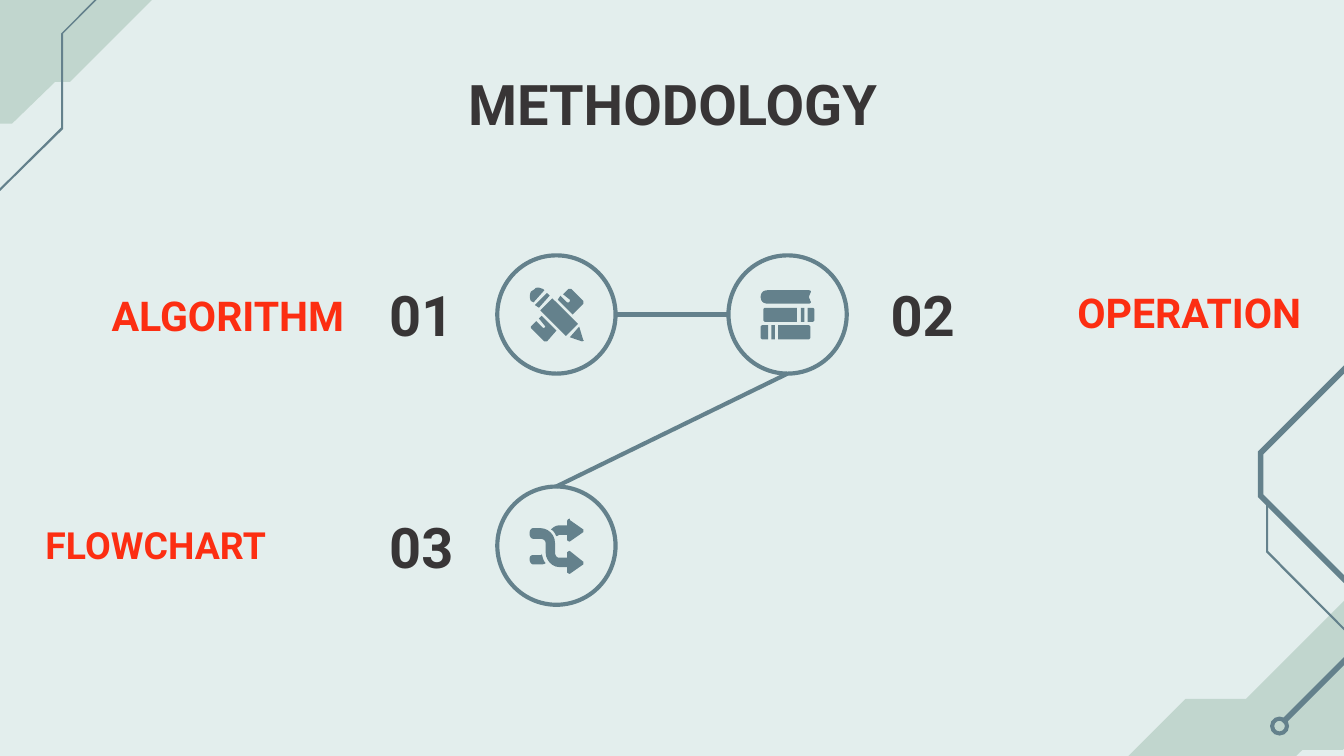
from dataclasses import dataclass

from lxml import etree
from pptx import Presentation
from pptx.dml.color import RGBColor
from pptx.enum.shapes import MSO_CONNECTOR, MSO_SHAPE
from pptx.enum.text import MSO_ANCHOR, MSO_AUTO_SIZE, PP_ALIGN
from pptx.oxml.ns import qn
from pptx.util import Pt

STRAIGHT = MSO_CONNECTOR.STRAIGHT
ELLIPSE, DONUT = MSO_SHAPE.OVAL, MSO_SHAPE.DONUT
LEFT, CENTER, RIGHT = PP_ALIGN.LEFT, PP_ALIGN.CENTER, PP_ALIGN.RIGHT
TOP, MIDDLE = MSO_ANCHOR.TOP, MSO_ANCHOR.MIDDLE
NO_FIT = MSO_AUTO_SIZE.NONE

COLORS = {"page": "E3EEED", "corner": "C1D6CE", "slate": "64818C",
          "ink": "383536", "label": "FC2E12"}
FONT = "Roboto"
GRID = Pt(0.72)  # step of the drawing grid used by all outlines
CURVE_STEPS = 6
CIRCLE = 63.36
LINE_WIDTH = 2.25
LEFT_X, RIGHT_X, UPPER_Y, LOWER_Y = 298.08, 421.92, 168.48, 292.32

# An outline lists points (x, y) and cubic curves (x1, y1, x2, y2, x, y).
Outline = list[tuple[float, ...]]


@dataclass(frozen=True)
class Frame:
    left: float
    top: float
    width: float
    height: float

    def lengths(self) -> list[int]:
        return [Pt(value) for value in (self.left, self.top, self.width, self.height)]


@dataclass(frozen=True)
class Style:
    size: float
    color: str
    align: PP_ALIGN
    anchor: MSO_ANCHOR = MIDDLE


@dataclass(frozen=True)
class Step:
    number: str
    label: str
    x: float
    y: float
    number_left: float
    label_frame: Frame
    label_style: Style
    icon: list[Outline]


def book_part(left: float, right: float, top: float,
              left_cut: float = 0, right_cut: float = 0) -> Outline:
    """Upright block, 10.5 grid steps high, with its corners cut at either end."""
    bottom = top + 10.5
    return [(left + left_cut, top), (right - right_cut, top),
            (right, top + right_cut), (right, bottom - right_cut),
            (right - right_cut, bottom), (left + left_cut, bottom),
            (left, bottom - left_cut), (left, top + left_cut)]


PENCIL_AND_RULER = [
    [(-7, -16), (-16, -7), (-13, -5), (-5, -14)],
    [(9, -19), (5, -15), (10, -11), (10, -10, 10, -9, 9, -9), (8, -9), (3, -14),
     (1, -11), (12, 0), (20, -8), (20, -8, 20, -9, 20, -10), (11, -19), (10, -19)],
    [(-3, -12), (-12, -3), (7, 16), (16, 7)],
    [(17, 9), (10, 17), (19, 20), (20, 20, 21, 19, 20, 19)],
    [(-11, 1), (-13, 3), (-9, 8), (-8, 9, -8, 9, -9, 10), (-10, 10), (-15, 5),
     (-19, 9), (-19, 10), (-9, 20), (-8, 20), (-7, 20), (0, 12)],
    [(-13, -20), (-14, -20, -16, -20, -16, -19), (-19, -17),
     (-20, -15, -20, -12, -19, -10), (-17, -9), (-9, -18), (-10, -19)],
]
BOOKS = [
    [(-15, -18), (-18, -18, -20, -16, -20, -13), (-20, -10, -18, -8, -15, -8),
     (16, -8), (17, -8, 18, -9, 17, -10), (17, -11, 16, -12, 16, -13),
     (16, -14, 17, -15, 17, -16), (18, -17, 17, -18, 16, -18)],
    book_part(-18, 7, -5, left_cut=1),
    book_part(10, 12.5, -5),
    book_part(15, 20, -5, right_cut=1),
    book_part(-20, -14.5, 8, left_cut=1),
    book_part(-12, -9.5, 8),
    book_part(-7, 17, 8, right_cut=1),
]
CROSSED_ARROWS = [
    [(-17, -13), (-19, -13, -20, -11, -20, -9), (-20, -7, -19, -5, -17, -5),
     (-12, -5), (-10, -5, -8, -4, -8, -2), (-8, 5), (-8, 11, -3, 16, 2, 16),
     (8, 16), (8, 20), (8, 20, 9, 21, 10, 21), (20, 14), (20, 13, 20, 12, 20, 12),
     (10, 4), (9, 4, 8, 5, 8, 5), (8, 9), (2, 9), (0, 9, -1, 7, -1, 5),
     (-1, -2), (-1, -8, -6, -13, -12, -13)],
    [(-11, 6), (-11, 7, -11, 7, -12, 7), (-17, 7), (-19, 7, -20, 8, -20, 10),
     (-20, 12, -19, 14, -17, 14), (-12, 14), (-11, 14, -9, 14, -8, 13),
     (-10, 11, -10, 9, -11, 6)],
    [(10, -20), (9, -20, 8, -19, 8, -18), (8, -15), (2, -15),
     (0, -15, -2, -14, -4, -12), (-2, -11, -1, -9, 0, -7), (1, -7, 2, -8, 2, -8),
     (8, -8), (8, -4), (8, -4, 9, -3, 10, -3), (20, -10),
     (20, -11, 20, -12, 20, -12), (10, -19)],
]
DECORATIONS: list[tuple[str, Outline]] = [
    ("corner", [(119, -72), (65, -18), (16, -18), (-94, 92), (9, 92), (41, 61),
                (52, 61), (185, -72)]),
    ("slate", [(121, -51), (45.5, 25), (45.5, 95), (-12, 152), (-11, 153), (47, 96),
               (47, 25), (122, -50)]),
    ("corner", [(1027, 420), (927, 520), (882, 520), (825, 577), (825, 603),
                (789, 639), (887, 639), (969, 558), (999, 558), (1058, 499),
                (1058, 483), (1121, 420)]),
    ("slate", [(1218, 132), (1121, 229), (1043, 229), (936, 336), (936, 370),
               (1001, 435), (1001, 488), (953, 536), (956, 539), (1005, 490),
               (1005, 433), (940, 368), (940, 338), (1045, 233), (1122, 233),
               (1221, 134)]),
    ("slate", [(942, 374), (942, 411), (1002, 471), (1003, 470), (943.5, 410),
               (943.5, 374)]),
]
TITLE_STYLE = Style(30, "ink", CENTER, TOP)
NUMBER_STYLE = Style(30, "ink", CENTER)
STEPS = [
    Step("01", "ALGORITHM", LEFT_X, UPPER_Y, 191.5, Frame(8.6, 154.1, 182.9, 29.5),
         Style(22, "label", RIGHT), PENCIL_AND_RULER),
    Step("02", "OPERATION", RIGHT_X, UPPER_Y, 460.1, Frame(521.3, 136.8, 182.9, 60.5),
         Style(22, "label", RIGHT), BOOKS),
    Step("03", "FLOWCHART", LEFT_X, LOWER_Y, 191.5, Frame(17.3, 260.6, 175, 62.6),
         Style(20, "label", LEFT), CROSSED_ARROWS),
]


def rgb(name: str) -> RGBColor:
    return RGBColor.from_string(COLORS[name])


def flatten(outline: Outline) -> list[tuple[float, float]]:
    """Turn the curves of an outline into short straight pieces."""
    points = [outline[0]]
    for piece in outline[1:]:
        if len(piece) == 2:
            points.append(piece)
            continue
        start, controls = points[-1], (piece[:2], piece[2:4], piece[4:])
        for index in range(1, CURVE_STEPS + 1):
            t = index / CURVE_STEPS
            weights = ((1 - t) ** 3, 3 * t * (1 - t) ** 2, 3 * t * t * (1 - t), t ** 3)
            points.append(tuple(sum(weight * point[axis] for weight, point
                                    in zip(weights, (start, *controls)))
                                for axis in (0, 1)))
    return points


def paint(shape, color: str) -> None:
    shape.shadow.inherit = False
    shape.fill.solid()
    shape.fill.fore_color.rgb = rgb(color)
    shape.line.fill.background()


def draw_outline(shapes, outline: Outline, color: str, x: float = 0, y: float = 0) -> None:
    points = [(round(across * GRID), round(down * GRID)) for across, down in flatten(outline)]
    builder = shapes.build_freeform(*points[0])
    builder.add_line_segments(points[1:], close=True)
    paint(builder.convert_to_shape(Pt(x), Pt(y)), color)


def write_text(box, text: str, style: Style) -> None:
    frame = box.text_frame
    frame.word_wrap = True
    frame.auto_size = NO_FIT
    frame.vertical_anchor = style.anchor
    frame.margin_left = frame.margin_right = frame.margin_top = frame.margin_bottom = Pt(7.2)
    para = frame.paragraphs[0]
    para.alignment = style.align
    span = para.add_run()
    span.text = text
    span.font.name, span.font.size, span.font.bold = FONT, Pt(style.size), True
    span.font.color.rgb = rgb(style.color)


def draw_step(shapes, step: Step) -> None:
    top = step.y - CIRCLE / 2
    circle = shapes.add_shape(
        ELLIPSE, *Frame(step.x - CIRCLE / 2, top, CIRCLE, CIRCLE).lengths())
    circle.shadow.inherit = False
    circle.fill.background()
    circle.line.color.rgb = rgb("slate")
    circle.line.width = Pt(LINE_WIDTH)
    number = shapes.add_textbox(*Frame(step.number_left, top, 68.4, CIRCLE).lengths())
    write_text(number, step.number, NUMBER_STYLE)
    write_text(shapes.add_textbox(*step.label_frame.lengths()), step.label, step.label_style)
    for outline in step.icon:
        draw_outline(shapes, outline, "slate", step.x, step.y)


def draw_link(shapes, *ends: float) -> None:
    link = shapes.add_connector(STRAIGHT, *[Pt(value) for value in ends])
    link.line.color.rgb = rgb("slate")
    link.line.width = Pt(LINE_WIDTH)
    etree.SubElement(link._element.spPr, qn("a:effectLst"))


def main() -> None:
    deck = Presentation()
    deck.slide_width, deck.slide_height = Pt(720), Pt(405)
    page = deck.slides.add_slide(deck.slide_layouts[5])
    page.background.fill.solid()
    page.background.fill.fore_color.rgb = rgb("page")
    shapes = page.shapes
    for color, outline in DECORATIONS:
        draw_outline(shapes, outline, color)
    ring = shapes.add_shape(DONUT, *Frame(680.4, 383.9, 10.2, 10.2).lengths())
    ring.adjustments[0] = 0.22
    paint(ring, "slate")

    title = shapes.title
    title.left, title.top, title.width, title.height = Frame(56.9, 30.2, 607, 46.8).lengths()
    write_text(title, "METHODOLOGY", TITLE_STYLE)
    for step in STEPS:
        draw_step(shapes, step)
    radius = CIRCLE / 2
    draw_link(shapes, LEFT_X + radius, UPPER_Y, RIGHT_X - radius, UPPER_Y)
    draw_link(shapes, RIGHT_X, UPPER_Y + radius, LEFT_X, LOWER_Y - radius)
    deck.save("out.pptx")


if __name__ == "__main__":
    main()
